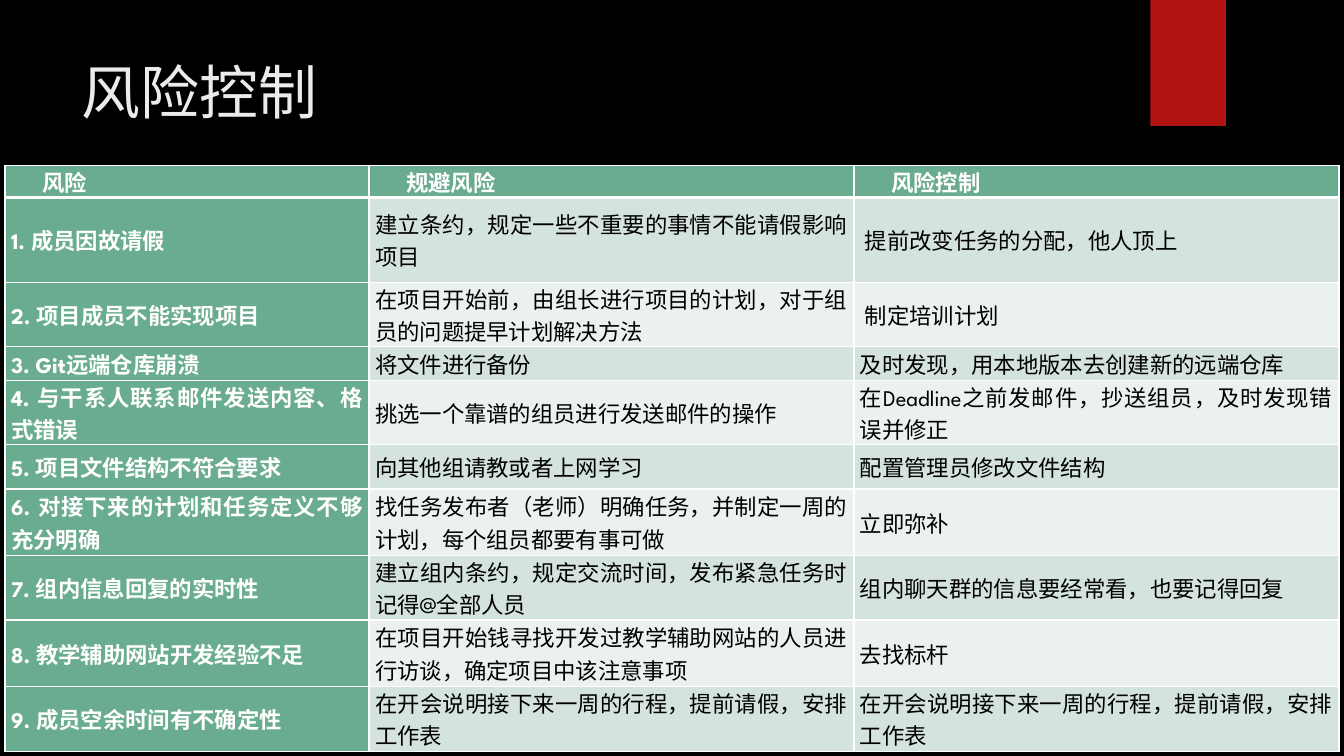
from lxml import etree
from pptx import Presentation
from pptx.dml.color import RGBColor
from pptx.enum.shapes import MSO_SHAPE
from pptx.enum.text import MSO_ANCHOR, PP_ALIGN
from pptx.oxml.ns import qn
from pptx.util import Inches, Pt

RECTANGLE = MSO_SHAPE.RECTANGLE
TOP, MIDDLE = MSO_ANCHOR.TOP, MSO_ANCHOR.MIDDLE
LEFT, JUSTIFY = PP_ALIGN.LEFT, PP_ALIGN.JUSTIFY

BLACK = RGBColor(0x00, 0x00, 0x00)
WHITE = RGBColor(0xFF, 0xFF, 0xFF)
TITLE_GRAY = RGBColor(0xEB, 0xEB, 0xEB)
RED = RGBColor(0xB0, 0x15, 0x13)
GREEN = RGBColor(0x6A, 0xAC, 0x90)
BANDS = (RGBColor(0xD4, 0xE3, 0xDB), RGBColor(0xEB, 0xF1, 0xEE))

LATIN_FONT = "League Spartan"
CHINESE_FONT = "Noto Sans CJK SC"

COLUMN_WIDTHS = (3.61, 4.81, 4.81)
ROW_HEIGHTS = (0.16, 0.84, 0.49, 0.33, 0.58, 0.44, 0.66, 0.49, 0.66, 0.49)
RISKS = (
    ("风险", "规避风险", "风险控制"),
    ("1. 成员因故请假",
     "建立条约，规定一些不重要的事情不能请假影响项目",
     " 提前改变任务的分配，他人顶上"),
    ("2. 项目成员不能实现项目",
     "在项目开始前，由组长进行项目的计划，对于组员的问题提早计划解决方法",
     " 制定培训计划"),
    ("3. Git远端仓库崩溃",
     "将文件进行备份",
     "及时发现，用本地版本去创建新的远端仓库"),
    ("4. 与干系人联系邮件发送内容、格式错误",
     "挑选一个靠谱的组员进行发送邮件的操作",
     "在Deadline之前发邮件，抄送组员，及时发现错误并修正"),
    ("5. 项目文件结构不符合要求",
     "向其他组请教或者上网学习",
     "配置管理员修改文件结构"),
    ("6. 对接下来的计划和任务定义不够充分明确",
     "找任务发布者（老师）明确任务，并制定一周的计划，每个组员都要有事可做",
     "立即弥补"),
    ("7. 组内信息回复的实时性",
     "建立组内条约，规定交流时间，发布紧急任务时记得@全部人员",
     "组内聊天群的信息要经常看，也要记得回复"),
    ("8. 教学辅助网站开发经验不足",
     "在项目开始钱寻找开发过教学辅助网站的人员进行访谈，确定项目中该注意事项",
     "去找标杆"),
    ("9. 成员空余时间有不确定性",
     "在开会说明接下来一周的行程，提前请假，安排工作表",
     "在开会说明接下来一周的行程，提前请假，安排工作表"),
)


def write_text(text_frame, text, *, size, color, font=LATIN_FONT, bold=False,
               align=JUSTIFY, indent=0):
    paragraph = text_frame.paragraphs[0]
    paragraph.alignment = align
    if indent:
        properties = paragraph._p.get_or_add_pPr()
        properties.set("marL", "0")
        properties.set("indent", str(Inches(indent)))
    run = paragraph.add_run()
    run.text = text
    run.font.size = Pt(size)
    run.font.bold = bold
    run.font.color.rgb = color
    run.font.name = font
    east_asian = etree.SubElement(run._r.get_or_add_rPr(), qn("a:ea"))
    east_asian.set("typeface", CHINESE_FONT)


def set_borders(cell, color, **widths):
    """Draw cell borders; widths in points by side: L, R, T, B."""
    properties = cell._tc.get_or_add_tcPr()
    for position, (side, width) in enumerate(widths.items()):
        line = etree.Element(qn(f"a:ln{side}"), w=str(Pt(width)))
        fill = etree.SubElement(line, qn("a:solidFill"))
        etree.SubElement(fill, qn("a:srgbClr"), val=str(color))
        properties.insert(position, line)


class SlideBuilder:
    def __init__(self, presentation, background):
        layout = presentation.slide_layouts[5]  # title only
        self.slide = presentation.slides.add_slide(layout)
        self.slide.background.fill.solid()
        self.slide.background.fill.fore_color.rgb = background

    def rectangle(self, left, top, width, height, color):
        shape = self.slide.shapes.add_shape(
            RECTANGLE, Inches(left), Inches(top), Inches(width), Inches(height))
        shape.shadow.inherit = False
        shape.fill.solid()
        shape.fill.fore_color.rgb = color
        shape.line.fill.background()

    def title(self, left, top, width, height, text):
        title = self.slide.shapes.title
        title.left, title.top = Inches(left), Inches(top)
        title.width, title.height = Inches(width), Inches(height)
        title.text_frame.vertical_anchor = TOP
        title.text_frame.word_wrap = True
        write_text(title.text_frame, text, size=42, color=TITLE_GRAY,
                   font=CHINESE_FONT, align=LEFT)

    def table(self, left, top, rows, column_widths, row_heights):
        table = self.slide.shapes.add_table(
            len(rows), len(column_widths), Inches(left), Inches(top),
            Inches(sum(column_widths)), Inches(sum(row_heights))).table
        table.first_col = True
        for column, width in zip(table.columns, column_widths):
            column.width = Inches(width)
        for row, height in zip(table.rows, row_heights):
            row.height = Inches(height)
        for row_index, texts in enumerate(rows):
            for column_index, text in enumerate(texts):
                self.cell(table.cell(row_index, column_index), text,
                          row_index, column_index)

    def cell(self, cell, text, row_index, column_index):
        in_header = row_index == 0
        emphasized = in_header or column_index == 0
        cell.vertical_anchor = MIDDLE
        cell.margin_left = cell.margin_right = Inches(0.06)
        cell.margin_top = cell.margin_bottom = 0
        cell.fill.solid()
        cell.fill.fore_color.rgb = GREEN if emphasized else BANDS[(row_index - 1) % 2]
        # A thick rule parts the header from the first risk
        set_borders(cell, WHITE, L=1, R=1, T=3 if row_index == 1 else 1,
                    B=3 if in_header else 1)
        write_text(cell.text_frame, text, size=16, bold=emphasized,
                   color=WHITE if emphasized else BLACK,
                   indent=0.31 if in_header else 0)


def main():
    presentation = Presentation()
    presentation.slide_width = Inches(13.33)
    presentation.slide_height = Inches(7.5)
    builder = SlideBuilder(presentation, BLACK)

    # Heading with its red ribbon
    builder.rectangle(11.41, 0, 0.75, 1.25, RED)
    builder.title(0.71, 0.5, 10.29, 1.53, "风险控制")

    # Risk table
    builder.table(0.05, 1.64, RISKS, COLUMN_WIDTHS, ROW_HEIGHTS)

    presentation.save("out.pptx")


if __name__ == "__main__":
    main()
